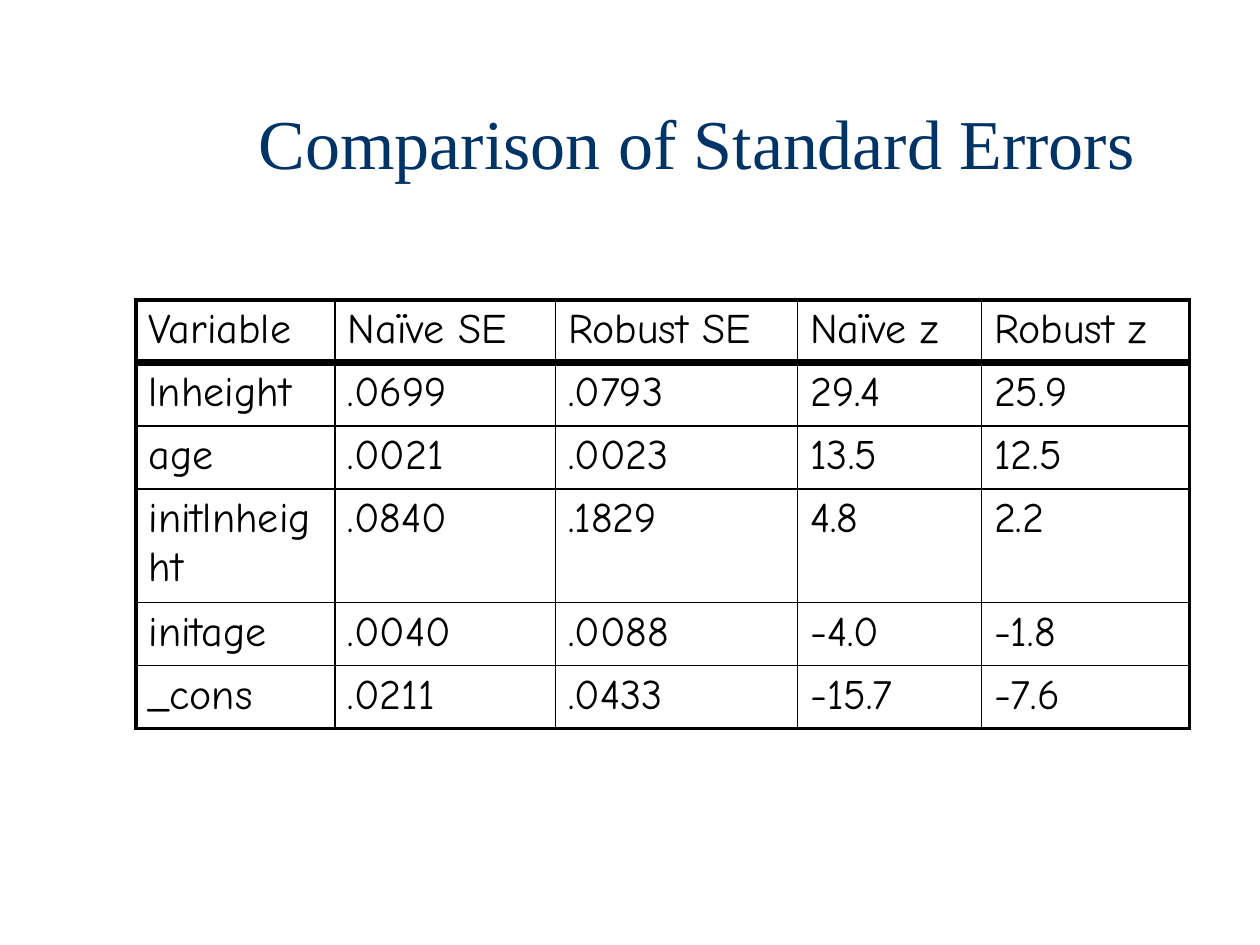
from lxml.etree import SubElement
from pptx import Presentation
from pptx.dml.color import RGBColor
from pptx.enum.text import MSO_ANCHOR as Anchor, PP_ALIGN as Align
from pptx.oxml.ns import qn
from pptx.util import Inches, Pt

HEADING = "Comparison of Standard Errors"
RESULTS = [
    ("Variable", "Naïve SE", "Robust SE", "Naïve z", "Robust z"),
    ("lnheight", ".0699", ".0793", "29.4", "25.9"),
    ("age", ".0021", ".0023", "13.5", "12.5"),
    ("initlnheight", ".0840", ".1829", "4.8", "2.2"),
    ("initage", ".0040", ".0088", "-4.0", "-1.8"),
    ("_cons", ".0211", ".0433", "-15.7", "-7.6"),
]
COLUMN_WIDTHS = (1.58, 1.75, 1.92, 1.46, 1.65)
ROW_HEIGHTS = (0.5, 0.5, 0.5, 0.9, 0.5, 0.5)
INK, PAPER, NAVY = "000000", "FFFFFF", "003366"
OUTER, HEADER_RULE, INNER = 2.25, 4.5, 1


def color(hex_code):
    return RGBColor.from_string(hex_code)


def write(frame, text, font, size, ink, align=Align.LEFT):
    frame.text = text
    paragraph = frame.paragraphs[0]
    paragraph.alignment = align
    paragraph.font.name = font
    paragraph.font.size = Pt(size)
    paragraph.font.color.rgb = color(ink)


def rule_weights(count, after_first):
    return [OUTER, after_first] + [INNER] * (count - 2) + [OUTER]


def add_borders(cell, **weights):
    properties = cell._tc.get_or_add_tcPr()
    for side, weight in weights.items():
        border = SubElement(properties, qn(f"a:ln{side}"), w=str(Pt(weight)))
        fill = SubElement(border, qn("a:solidFill"))
        SubElement(fill, qn("a:srgbClr"), val=INK)


def main():
    deck = Presentation()
    deck.slide_width, deck.slide_height = Inches(10), Inches(7.5)
    slide = deck.slides.add_slide(deck.slide_layouts[5])

    heading = slide.shapes.title
    heading.left, heading.top = Inches(1.28), Inches(0.5)
    heading.width, heading.height = Inches(8.5), Inches(1.25)
    heading.text_frame.vertical_anchor = Anchor.MIDDLE
    write(heading.text_frame, HEADING, "Times New Roman", 40, NAVY, Align.CENTER)

    comparison = slide.shapes.add_table(
        len(RESULTS), len(COLUMN_WIDTHS), Inches(1.08), Inches(2.38),
        Inches(sum(COLUMN_WIDTHS)), Inches(sum(ROW_HEIGHTS))).table
    comparison.first_row = comparison.horz_banding = False
    for column, width in zip(comparison.columns, COLUMN_WIDTHS):
        column.width = Inches(width)
    for row, height in zip(comparison.rows, ROW_HEIGHTS):
        row.height = Inches(height)

    across = rule_weights(len(RESULTS), HEADER_RULE)
    down = rule_weights(len(COLUMN_WIDTHS), INNER)
    for r, result in enumerate(RESULTS):
        for c, entry in enumerate(result):
            cell = comparison.cell(r, c)
            add_borders(cell, L=down[c], R=down[c + 1], T=across[r], B=across[r + 1])
            cell.fill.solid()
            cell.fill.fore_color.rgb = color(PAPER)
            write(cell.text_frame, entry, "Comic Neue", 24, INK)

    deck.save("out.pptx")


if __name__ == "__main__":
    main()
